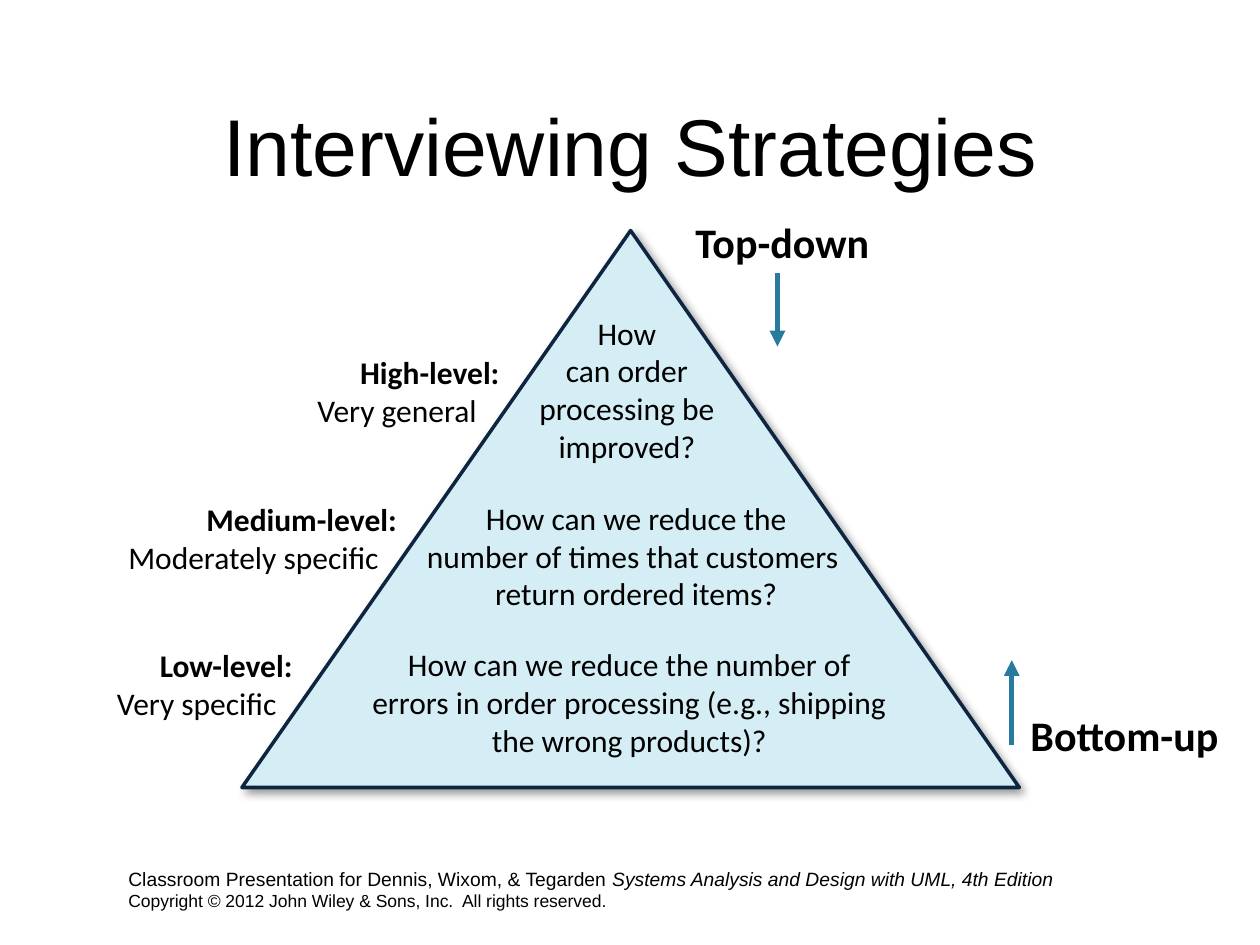
from lxml import etree
from pptx import Presentation
from pptx import util as u
from pptx.dml.color import RGBColor
from pptx.enum import shapes, text
from pptx.oxml import parse_xml
from pptx.oxml.ns import nsdecls, qn

BLACK = RGBColor(0x00, 0x00, 0x00)
WHITE = RGBColor(0xFF, 0xFF, 0xFF)
TITLE_BLUE = RGBColor(0x2C, 0x7C, 0x9F)
ARROW_BLUE = RGBColor(0x28, 0x7A, 0x9E)
PALE_BLUE = RGBColor(0xD5, 0xED, 0xF4)
NAVY = RGBColor(0x0E, 0x25, 0x42)

CENTER = text.PP_ALIGN.CENTER
BODY = {"name": "Calibri", "size": u.Pt(18)}
BOLD = {**BODY, "bold": True}
DIRECTION = {**BOLD, "size": u.Pt(24)}
TITLE = {"name": "Arial", "size": u.Pt(46)}
FOOTER = {"name": "Arial", "size": u.Pt(11)}

SHADOW = f"""<a:effectLst {nsdecls('a')}>
  <a:outerShdw blurRad="{u.Pt(5)}" dist="{u.Pt(3)}" dir="2700000" algn="tl" rotWithShape="0">
    <a:srgbClr val="000000"><a:alpha val="40000"/></a:srgbClr>
  </a:outerShdw>
</a:effectLst>"""


class SlideBuilder:
    def __init__(self, slide, color=BLACK):
        self.slide = slide
        self.color = color

    def text(self, box, paragraphs, align=None, wrap=False, fill=None,
             anchor=text.MSO_ANCHOR.TOP, indent=0):
        """Add a text box; each paragraph is a list of (wording, font values) runs."""
        s = self.slide.shapes.add_textbox(*map(u.Inches, box))
        if fill is not None:
            s.fill.solid()
            s.fill.fore_color.rgb = fill
        tf = s.text_frame
        tf.word_wrap = wrap
        tf.vertical_anchor = anchor
        for i, runs in enumerate(paragraphs):
            p = tf.paragraphs[0] if i == 0 else tf.add_paragraph()
            p.alignment = align
            if indent and i == 0:
                p._p.get_or_add_pPr().set("indent", str(u.Inches(indent)))
            for wording, style in runs:
                r = p.add_run()
                r.text = wording
                r.font.color.rgb = self.color
                for key, value in style.items():
                    setattr(r.font, key, value)

    def question(self, box, lines):
        self.text(box, [[(line, BODY)] for line in lines], CENTER)

    def level(self, box, name, detail, indent):
        self.text(box, [[(name, BOLD)], [(detail, BODY)]], wrap=True, indent=indent)

    def pyramid(self, box):
        s = self.slide.shapes.add_shape(
            shapes.MSO_SHAPE.ISOSCELES_TRIANGLE, *map(u.Inches, box))
        s.fill.solid()
        s.fill.fore_color.rgb = PALE_BLUE
        s.line.color.rgb = NAVY
        s.line.width = u.Pt(2)
        s._element.spPr.append(parse_xml(SHADOW))

    def arrow(self, x, start, end):
        """Add a vertical arrow pointing at end."""
        s = self.slide.shapes.add_connector(
            shapes.MSO_CONNECTOR.STRAIGHT, *map(u.Inches, (x, start, x, end)))
        s.line.color.rgb = ARROW_BLUE
        s.line.width = u.Pt(3)
        etree.SubElement(s.line._get_or_add_ln(), qn("a:tailEnd"), type="triangle")
        etree.SubElement(s._element.spPr, qn("a:effectLst"))


def main():
    prs = Presentation()
    prs.slide_width, prs.slide_height = u.Inches(10), u.Inches(7.5)
    b = SlideBuilder(prs.slides.add_slide(prs.slide_layouts[6]))

    b.text((0.92, 6.83, 7.61, 0.45), [
        [("Classroom Presentation for Dennis, Wixom, & Tegarden ", FOOTER),
         ("Systems Analysis and Design with UML, 4th Edition", {**FOOTER, "italic": True})],
        [("Copyright © 2012 John Wiley & Sons, Inc.  All rights reserved.",
          {**FOOTER, "size": u.Pt(10)})],
    ], wrap=True)
    b.text((0.6, 0.12, 8.8, 1.46), [[("Interviewing Strategies", TITLE)]],
           CENTER, wrap=True, anchor=text.MSO_ANCHOR.BOTTOM)

    b.pyramid((1.92, 1.83, 6.17, 4.42))
    b.question((4.17, 2.44, 1.61, 1.31),
               ["How", "can order", "processing be", "improved?"])
    b.question((3.27, 3.91, 3.56, 1.01),
               ["How can we reduce the", "number of times that customers ",
                "return ordered items?"])
    b.question((2.83, 5.07, 4.33, 1.01),
               ["How can we reduce the number of",
                "errors in order processing (e.g., shipping",
                "the wrong products)?"])

    b.text((5.42, 1.67, 1.6, 0.51), [[("Top-down", DIRECTION)]])
    b.arrow(6.17, 2.17, 2.75)
    b.text((8.08, 5.58, 1.72, 0.51), [[("Bottom-up", DIRECTION)]], fill=WHITE)
    b.arrow(8.03, 5.91, 5.24)

    b.level((2.42, 2.75, 1.66, 0.71), "High-level:", "Very general", 0.34)
    b.level((0.92, 3.92, 2.36, 0.71), "Medium-level:", "Moderately specific", 0.62)
    b.level((0.83, 5.08, 1.62, 0.71), "Low-level:", "Very specific", 0.34)

    prs.save("out.pptx")


if __name__ == "__main__":
    main()
